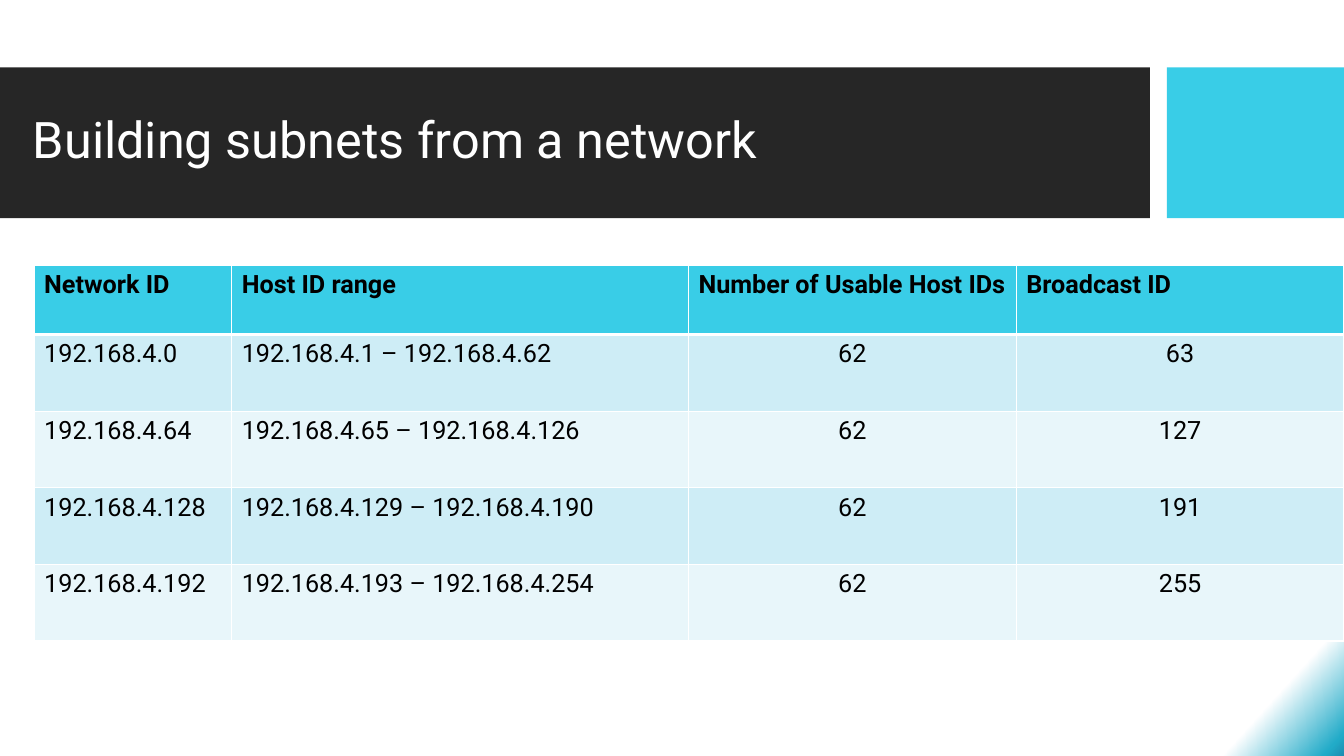
from lxml import etree
from pptx import Presentation
from pptx.dml.color import RGBColor
from pptx.enum.shapes import MSO_SHAPE
from pptx.enum.text import MSO_ANCHOR, PP_ALIGN
from pptx.oxml.ns import qn
from pptx.util import Cm, Pt

RECTANGLE = MSO_SHAPE.RECTANGLE
MIDDLE = MSO_ANCHOR.MIDDLE
LEFT, CENTER = PP_ALIGN.LEFT, PP_ALIGN.CENTER

WHITE = RGBColor(0xFF, 0xFF, 0xFF)
BLACK = RGBColor(0x00, 0x00, 0x00)
CHARCOAL = RGBColor(0x26, 0x26, 0x26)
CYAN = RGBColor(0x39, 0xCD, 0xE7)
BAND_COLORS = [RGBColor(0xCE, 0xED, 0xF6), RGBColor(0xE8, 0xF6, 0xFA)]
BACKGROUND_STOPS = [
    (94, WHITE),
    (99, RGBColor(0x21, 0xAB, 0xC8)),
    (100, RGBColor(0x1C, 0x8D, 0xB1)),
    (100, RGBColor(0x0C, 0x22, 0x63)),
]
FONT = "Roboto"


def write_text(frame, text, size=18, color=BLACK, bold=False, align=LEFT, spacing=1.0):
    para = frame.paragraphs[0]
    para.alignment = align
    para.line_spacing = spacing
    span = para.add_run()
    span.text = text
    span.font.name = FONT
    span.font.size = Pt(size)
    span.font.bold = bold
    span.font.color.rgb = color


def add_border(cell, side, points):
    """Draw one white cell edge; side is L, R, T or B."""
    properties = cell._tc.get_or_add_tcPr()
    line = etree.SubElement(properties, qn(f"a:ln{side}"), w=str(Pt(points)))
    fill = etree.SubElement(line, qn("a:solidFill"))
    etree.SubElement(fill, qn("a:srgbClr"), val=str(WHITE))


deck = Presentation()
deck.slide_width, deck.slide_height = Cm(33.87), Cm(19.05)
page = deck.slides.add_slide(deck.slide_layouts[6])

# Background: white, turning teal in the lower right corner
background = page.background.fill
background.gradient()
background.gradient_angle = 360 - 42
stop_list = next(page.element.iter(qn("a:gsLst")))
for stop in list(stop_list):
    stop_list.remove(stop)
for percent, color in BACKGROUND_STOPS:
    stop = etree.SubElement(stop_list, qn("a:gs"), pos=str(percent * 1000))
    etree.SubElement(stop, qn("a:srgbClr"), val=str(color))

# Title band and accent block
for left, width, color in [(0, 28.98, CHARCOAL), (29.41, 4.46, CYAN)]:
    block = page.shapes.add_shape(RECTANGLE, Cm(left), Cm(1.7), Cm(width), Cm(3.8))
    block.shadow.inherit = False
    block.fill.solid()
    block.fill.fore_color.rgb = color
    block.line.fill.background()

title_box = page.shapes.add_textbox(Cm(0.58), Cm(2.08), Cm(28.02), Cm(3))
title_box.text_frame.word_wrap = True
title_box.text_frame.vertical_anchor = MIDDLE
write_text(title_box.text_frame, "Building subnets from a network",
           size=36, color=WHITE, spacing=0.9)

# Four equal subnets of one /24 network
NETWORK = "192.168.4."
BLOCK_SIZE = 64
rows = [["Network ID", "Host ID range", "Number of Usable Host IDs", "Broadcast ID"]]
for first in range(0, 256, BLOCK_SIZE):
    broadcast = first + BLOCK_SIZE - 1
    rows.append([
        f"{NETWORK}{first}",
        f"{NETWORK}{first + 1} – {NETWORK}{broadcast - 1}",
        str(BLOCK_SIZE - 2),
        str(broadcast),
    ])

column_widths = [4.98, 11.51, 8.26, 8.26]
row_heights = [1.75] + [1.93] * 4
table = page.shapes.add_table(
    len(rows), len(column_widths), Cm(0.86), Cm(6.68),
    Cm(sum(column_widths)), Cm(sum(row_heights))).table
for column, width in zip(table.columns, column_widths):
    column.width = Cm(width)
for row, height in zip(table.rows, row_heights):
    row.height = Cm(height)

for row_index, texts in enumerate(rows):
    is_header = row_index == 0
    for column_index, text in enumerate(texts):
        cell = table.cell(row_index, column_index)
        centered = column_index >= 2 and not is_header
        write_text(cell.text_frame, text, bold=is_header,
                   align=CENTER if centered else LEFT)
        add_border(cell, "L", 1)
        add_border(cell, "R", 1)
        add_border(cell, "T", 3 if row_index == 1 else 1)
        add_border(cell, "B", 3 if is_header else 1)
        cell.fill.solid()
        cell.fill.fore_color.rgb = CYAN if is_header else BAND_COLORS[(row_index - 1) % 2]

deck.save("out.pptx")
